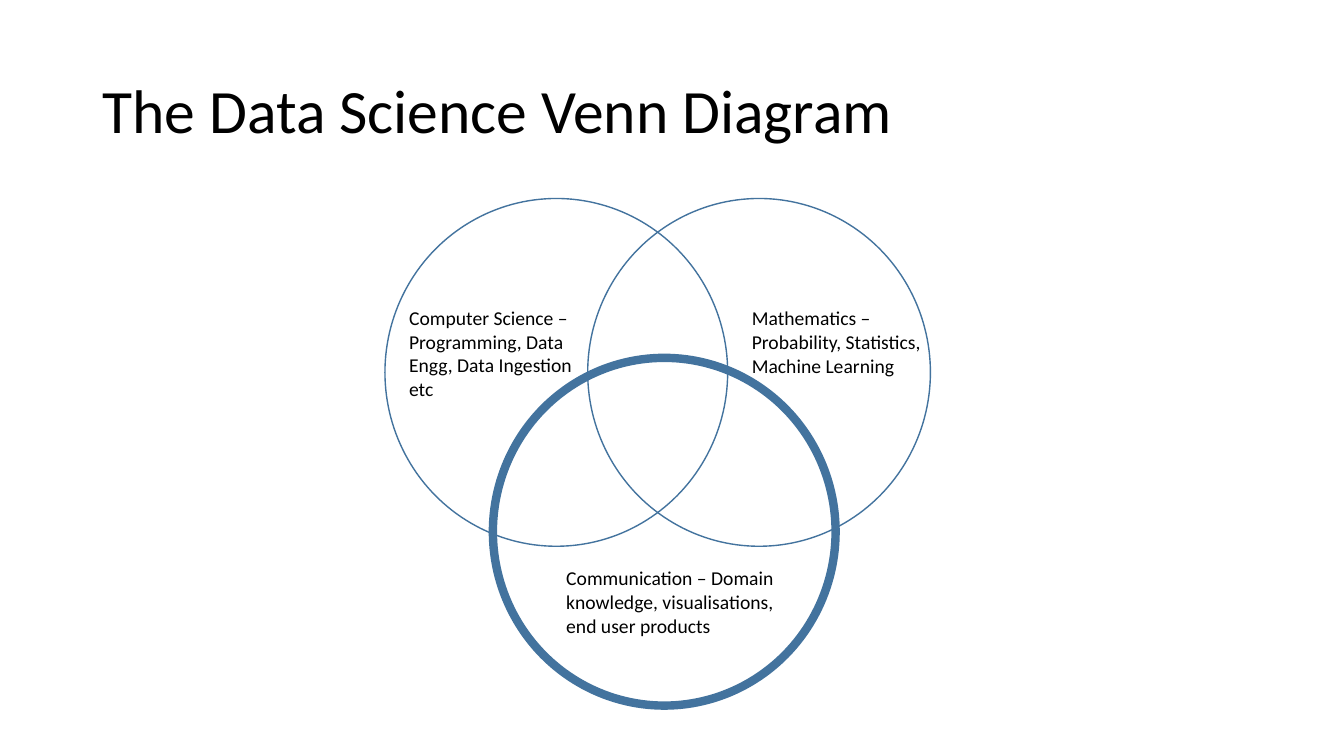
from pptx import Presentation
from pptx import util as u
from pptx.dml.color import RGBColor
from pptx.enum import shapes, text

BLACK = RGBColor(0x00, 0x00, 0x00)
BLUE = RGBColor(0x43, 0x73, 0x9E)
FONT = "Calibri"
CIRCLE_SIZE = (244.8, 248.4)

# Content: circle corner, line width, label box and label, in points
TITLE = "The Data Science Venn Diagram"
FIELDS = [
    ((275, 141.8), 1, (285.1, 215.3, 142.6, 74.9),
     "Computer Science – Programming, Data Engg, Data Ingestion etc"),
    ((419.8, 141.8), 1, (529.9, 215.3, 136.1, 58.3),
     "Mathematics – Probability, Statistics, Machine Learning"),
    ((352.1, 255.6), 6, (397.4, 401, 169.9, 58.3),
     "Communication – Domain knowledge, visualisations, end user products"),
]


def points(*values):
    return [u.Pt(value) for value in values]


def write(shape, words, size):
    frame = shape.text_frame
    frame.text = words
    frame.word_wrap = True
    paragraph = frame.paragraphs[0]
    paragraph.alignment = text.PP_ALIGN.LEFT
    font = paragraph.runs[0].font
    font.name, font.size = FONT, u.Pt(size)
    font.color.rgb = BLACK
    return frame


def add_circle(slide, corner, line_width):
    circle = slide.shapes.add_shape(
        shapes.MSO_SHAPE.OVAL, *points(*corner, *CIRCLE_SIZE))
    circle.shadow.inherit = False
    circle.fill.background()
    circle.line.color.rgb = BLUE
    circle.line.width = u.Pt(line_width)


def main():
    presentation = Presentation()
    presentation.slide_width, presentation.slide_height = points(960, 540)
    slide = presentation.slides.add_slide(presentation.slide_layouts[5])

    # Title
    title = slide.shapes.title
    title.left, title.top, title.width, title.height = points(66, 28.8, 828, 104.4)
    frame = write(title, TITLE, 44)
    frame.vertical_anchor = text.MSO_ANCHOR.MIDDLE
    frame.paragraphs[0].line_spacing = 0.9

    # Circles, then their labels on top
    for corner, line_width, _, _ in FIELDS:
        add_circle(slide, corner, line_width)
    for _, _, box, label in FIELDS:
        frame = write(slide.shapes.add_textbox(*points(*box)), label, 14)
        frame.auto_size = text.MSO_AUTO_SIZE.SHAPE_TO_FIT_TEXT

    presentation.save("out.pptx")


if __name__ == "__main__":
    main()
